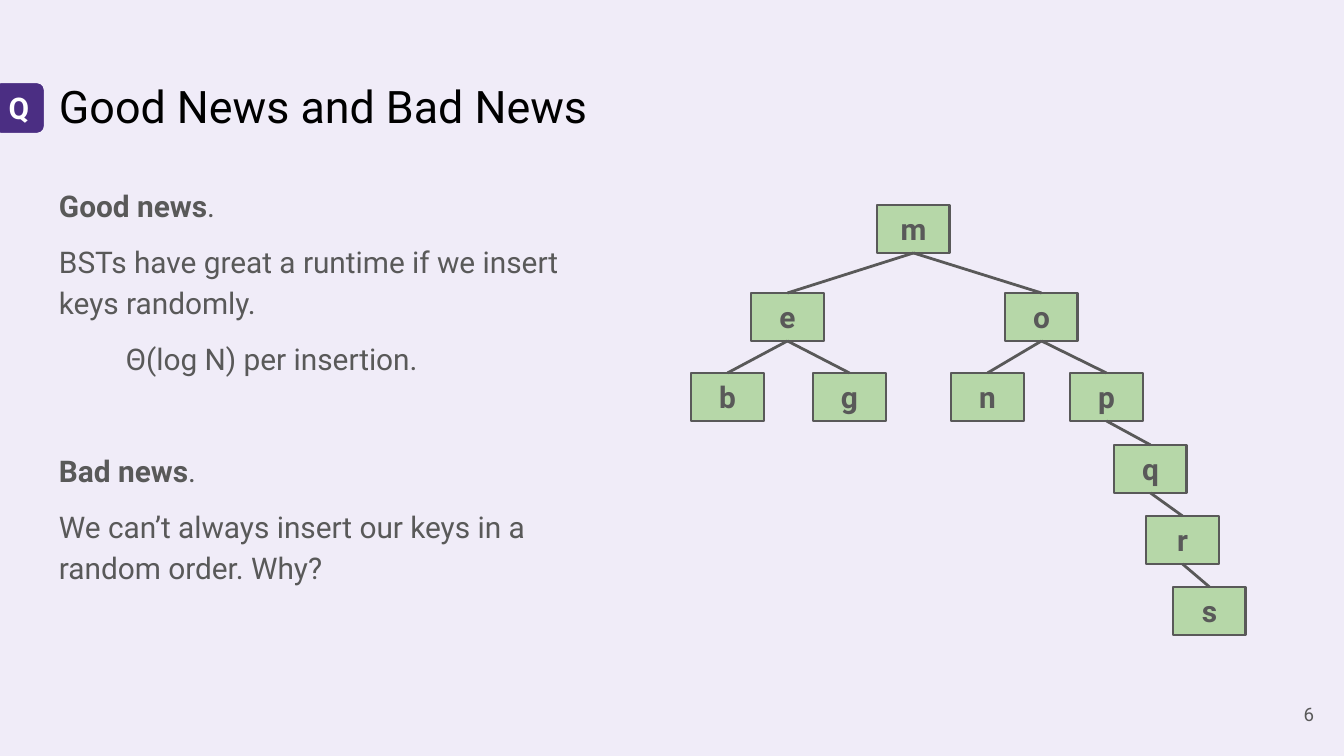
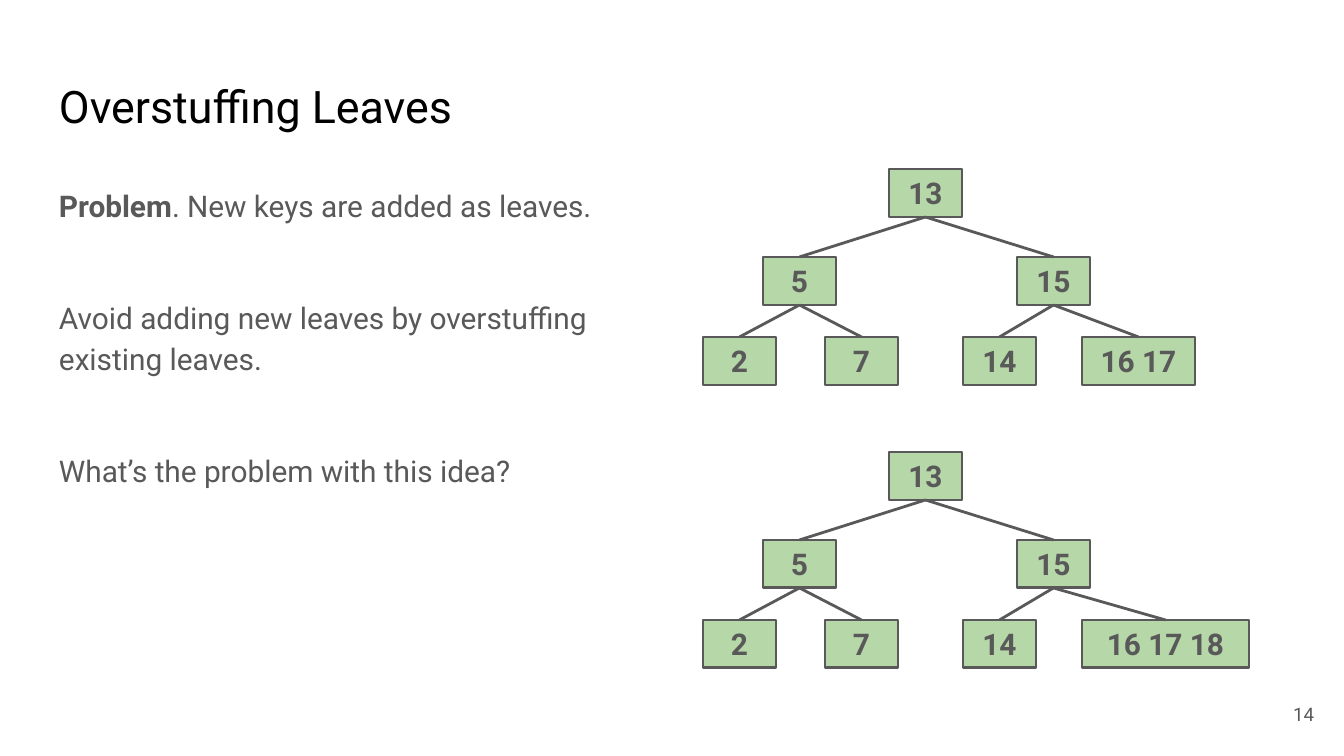
from dataclasses import dataclass
from typing import Any, NamedTuple

from lxml import etree
from pptx import Presentation
from pptx import util as u
from pptx.dml.color import RGBColor
from pptx.enum import shapes, text
from pptx.oxml import ns

# Colours, font and scale shared by the slides
LAVENDER = RGBColor(0xF0, 0xEC, 0xF8)
PURPLE = RGBColor(0x4B, 0x2E, 0x83)
GREEN = RGBColor(0xB6, 0xD7, 0xA8)
GREY = RGBColor(0x59, 0x59, 0x59)
BLACK = RGBColor(0, 0, 0)
WHITE = RGBColor(0xFF, 0xFF, 0xFF)
FONT = "Roboto"
PX_PER_INCH = 134.4
INSET = 13
NODE_WIDTH, NODE_HEIGHT = 73, 48
BOTTOM_SITE, TOP_SITE = 2, 0


class Box(NamedTuple):
    left: int
    top: int
    width: int
    height: int


TITLE_BOX = Box(46, 66, 581, 85)
BODY_BOX = Box(46, 169, 581, 503)
NUMBER_BOX = Box(1246, 685, 81, 58)
BADGE_BOX = Box(-8, 81, 54, 54)


@dataclass(frozen=True)
class Line:
    """A body paragraph: bold lead, plain rest, space before in points."""
    lead: str = ""
    rest: str = ""
    before: int = 8
    indent: int = 0


@dataclass(frozen=True)
class Node:
    """A tree node, placed relative to the root."""
    keys: str
    parent: int | None
    dx: int
    dy: int
    width: int = NODE_WIDTH


@dataclass(frozen=True)
class Tree:
    left: int
    top: int
    nodes: list[Node]


@dataclass(frozen=True)
class Page:
    title: str
    number: int
    background: RGBColor
    lines: list[Line]
    trees: list[Tree]
    badge: str = ""


# Parent, dx and dy of the seven places in the top three levels
LEVELS = [(None, 0, 0), (0, -126, 88), (0, 128, 88),
          (1, -186, 168), (1, -64, 168), (2, 74, 168), (2, 193, 168)]


def three_levels(keys: list[str], last_width: int = NODE_WIDTH) -> list[Node]:
    widths = [NODE_WIDTH] * (len(LEVELS) - 1) + [last_width]
    return [Node(key, *place, width)
            for key, place, width in zip(keys, LEVELS, widths)]


NUMBERS = ["13", "5", "15", "2", "7", "14"]
SECTION_GAP = 38

PAGES = [
    Page("Good News and Bad News", 6, LAVENDER,
         [Line("Good news", ".", 0),
          Line(rest="BSTs have great a runtime if we insert keys randomly."),
          Line(rest="Θ(log N) per insertion.", indent=67),
          Line("Bad news", ".", SECTION_GAP),
          Line(rest="We can’t always insert our keys in a random order. Why?")],
         [Tree(877, 205, three_levels(list("meobgnp"))
               + [Node("q", 6, 237, 240), Node("r", 7, 269, 311),
                  Node("s", 8, 296, 382)])],
         badge="Q"),
    Page("Overstuffing Leaves", 14, WHITE,
         [Line("Problem", ". New keys are added as leaves.", 0),
          Line(rest="Avoid adding new leaves by overstuffing existing leaves.",
               before=SECTION_GAP),
          Line(rest="What’s the problem with this idea?",
               before=SECTION_GAP)],
         [Tree(889, 169, three_levels(NUMBERS + ["16 17"], 113)),
          Tree(889, 452, three_levels(NUMBERS + ["16 17 18"], 167))]),
]


def px(length: int) -> u.Emu:
    return u.Emu(round(length * u.Inches(1) / PX_PER_INCH))


def emu(box: Box) -> list[u.Emu]:
    return [px(length) for length in box]


# Text
def style_run(run: Any, size: int, color: RGBColor, bold: bool = False) -> None:
    run.font.name = FONT
    run.font.size = u.Pt(size)
    run.font.bold = bold
    run.font.color.rgb = color


def set_frame(frame: Any, anchor: text.MSO_ANCHOR, wrap: bool = True) -> None:
    frame.margin_left = frame.margin_right = px(INSET)
    frame.margin_top = frame.margin_bottom = px(INSET)
    frame.auto_size = text.MSO_AUTO_SIZE.NONE
    frame.vertical_anchor = anchor
    frame.word_wrap = wrap


def write(frame: Any, words: str, size: int, color: RGBColor,
          align: text.PP_ALIGN, bold: bool = False) -> None:
    frame.text = words
    frame.paragraphs[0].alignment = align
    style_run(frame.paragraphs[0].runs[0], size, color, bold)


def place(shape: Any, box: Box) -> None:
    shape.left, shape.top, shape.width, shape.height = emu(box)


def add_title(slide: Any, words: str) -> None:
    title = slide.shapes.title
    place(title, TITLE_BOX)
    set_frame(title.text_frame, text.MSO_ANCHOR.TOP)
    write(title.text_frame, words, 24, BLACK, text.PP_ALIGN.LEFT)


def add_body(slide: Any, lines: list[Line]) -> None:
    body = slide.placeholders[1]
    place(body, BODY_BOX)
    frame = body.text_frame
    set_frame(frame, text.MSO_ANCHOR.TOP)
    for index, line in enumerate(lines):
        paragraph = frame.add_paragraph() if index else frame.paragraphs[0]
        properties = paragraph._p.get_or_add_pPr()
        properties.set("marL", str(px(line.indent)))
        properties.set("indent", "0")
        etree.SubElement(properties, ns.qn("a:buNone"))
        paragraph.line_spacing = 1.15
        paragraph.space_before = u.Pt(line.before)
        for words, bold in ((line.lead, True), (line.rest, False)):
            if words:
                run = paragraph.add_run()
                run.text = words
                style_run(run, 16, GREY, bold)


def add_number(slide: Any, number: int) -> None:
    frame = slide.shapes.add_textbox(*emu(NUMBER_BOX)).text_frame
    set_frame(frame, text.MSO_ANCHOR.MIDDLE)
    write(frame, str(number), 10, GREY, text.PP_ALIGN.RIGHT)


# Shapes
def add_label(parent: Any, kind: shapes.MSO_SHAPE, box: Box, words: str,
              fill: RGBColor, line: RGBColor, line_width: float,
              color: RGBColor) -> Any:
    label = parent.shapes.add_shape(kind, *emu(box))
    label.shadow.inherit = False
    label.fill.solid()
    label.fill.fore_color.rgb = fill
    label.line.color.rgb = line
    label.line.width = u.Pt(line_width)
    set_frame(label.text_frame, text.MSO_ANCHOR.MIDDLE, wrap=False)
    write(label.text_frame, words, 16, color, text.PP_ALIGN.CENTER, bold=True)
    return label


def add_branch(group: Any, parent: Any, child: Any) -> None:
    branch = group.shapes.add_connector(
        shapes.MSO_CONNECTOR.STRAIGHT,
        parent.left + parent.width // 2, parent.top + parent.height,
        child.left + child.width // 2, child.top)
    branch.begin_connect(parent, BOTTOM_SITE)
    branch.end_connect(child, TOP_SITE)
    branch.line.color.rgb = GREY
    branch.line.width = u.Pt(1.5)
    etree.SubElement(branch._element.spPr, ns.qn("a:effectLst"))


def add_tree(slide: Any, tree: Tree) -> None:
    group = slide.shapes.add_group_shape()
    drawn = []
    for node in tree.nodes:
        box = Box(tree.left + node.dx, tree.top + node.dy,
                  node.width, NODE_HEIGHT)
        drawn.append(add_label(group, shapes.MSO_SHAPE.RECTANGLE, box,
                               node.keys, GREEN, GREY, 1.5, GREY))
        if node.parent is not None:
            add_branch(group, drawn[node.parent], drawn[-1])


def add_page(deck: Any, page: Page) -> None:
    slide = deck.slides.add_slide(deck.slide_layouts[1])
    slide.background.fill.solid()
    slide.background.fill.fore_color.rgb = page.background
    add_title(slide, page.title)
    add_body(slide, page.lines)
    add_number(slide, page.number)
    if page.badge:
        add_label(slide, shapes.MSO_SHAPE.ROUNDED_RECTANGLE, BADGE_BOX,
                  page.badge, PURPLE, LAVENDER, 2.25, WHITE)
    for tree in page.trees:
        add_tree(slide, tree)


def main() -> None:
    deck = Presentation()
    deck.slide_width, deck.slide_height = px(1344), px(756)
    for page in PAGES:
        add_page(deck, page)
    deck.save("out.pptx")


if __name__ == "__main__":
    main()
